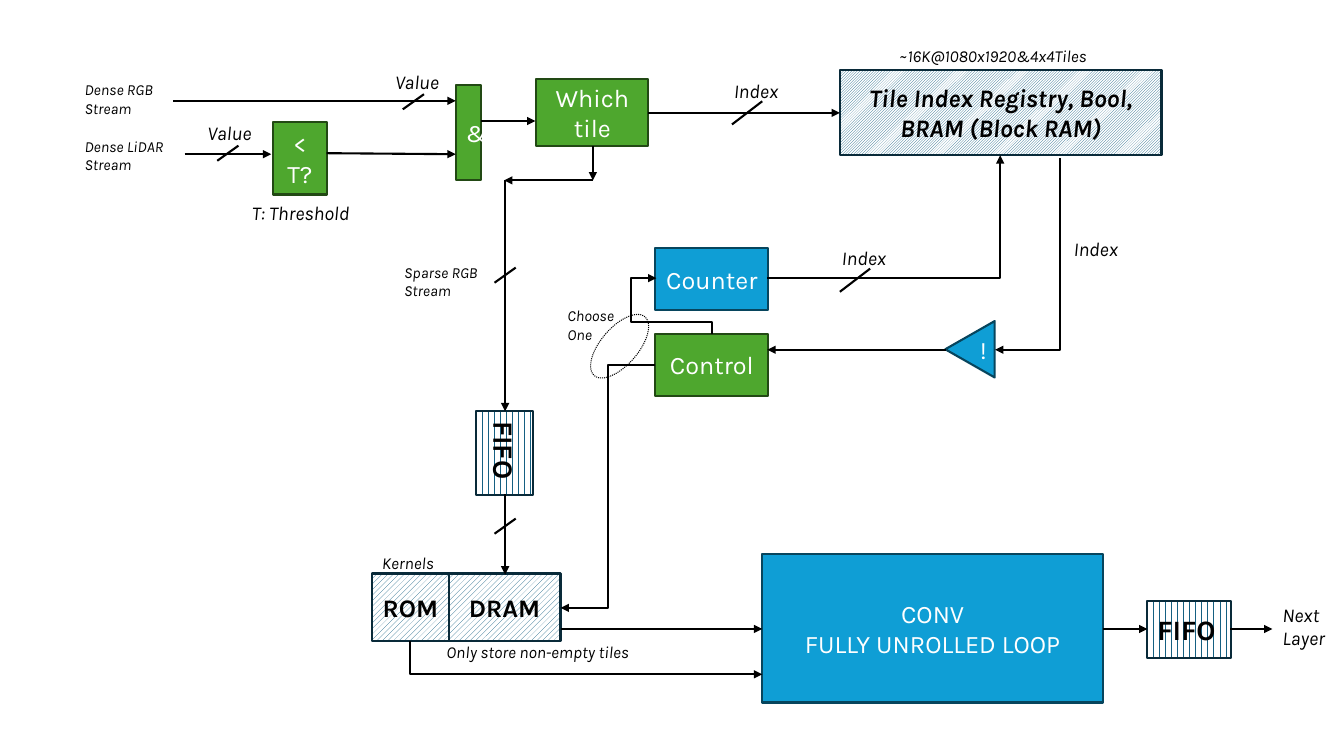
from pptx import Presentation
from pptx.dml.color import RGBColor
from pptx.enum.dml import MSO_LINE, MSO_PATTERN
from pptx.enum.shapes import MSO_CONNECTOR, MSO_SHAPE
from pptx.enum.text import MSO_ANCHOR, MSO_AUTO_SIZE, PP_ALIGN
from pptx.oxml.ns import qn
from pptx.util import Inches, Pt
from lxml import etree

BLACK = RGBColor(0x00, 0x00, 0x00)
WHITE = RGBColor(0xFF, 0xFF, 0xFF)
GREEN = RGBColor(0x4E, 0xA7, 0x2E)
GREEN_EDGE = RGBColor(0x22, 0x49, 0x14)
BLUE = RGBColor(0x0F, 0x9E, 0xD5)
BLUE_EDGE = RGBColor(0x07, 0x45, 0x5D)
HATCH = RGBColor(0x15, 0x60, 0x82)
HATCH_EDGE = RGBColor(0x09, 0x2A, 0x39)

RECTANGLE = MSO_SHAPE.RECTANGLE
TRIANGLE = MSO_SHAPE.ISOSCELES_TRIANGLE
OVAL = MSO_SHAPE.OVAL
STRAIGHT = MSO_CONNECTOR.STRAIGHT
ELBOW = MSO_CONNECTOR.ELBOW
DARK_DIAGONAL = MSO_PATTERN.DARK_UPWARD_DIAGONAL
WIDE_DIAGONAL = MSO_PATTERN.WIDE_UPWARD_DIAGONAL
DASHED_VERTICAL = MSO_PATTERN.DASHED_VERTICAL
ROUND_DOT = MSO_LINE.ROUND_DOT
MIDDLE = MSO_ANCHOR.MIDDLE
CENTER = PP_ALIGN.CENTER
FIT_SHAPE = MSO_AUTO_SIZE.SHAPE_TO_FIT_TEXT

FONT = "Karla"
LINE_WIDTH = Pt(1.5)
SMALL_TICK = (0.21, 0.15)
LARGE_TICK = (0.30, 0.23)
FLOW_Y = 6.24  # height of the line through the convolution stage
STREAM_X = 5.01  # position of the sparse stream


def format_text(text_frame, size, color, bold=False, italic=False, alignment=None):
    for paragraph in text_frame.paragraphs:
        paragraph.alignment = alignment
        for run in paragraph.runs:
            run.font.name = FONT
            run.font.size = Pt(size)
            run.font.color.rgb = color
            run.font.bold = bold
            run.font.italic = italic


def add_block(slide, text, box, edge, kind=RECTANGLE, rotation=0, vertical=False,
              size=18, color=WHITE, bold=False, italic=False):
    shape = slide.shapes.add_shape(kind, *map(Inches, box))
    shape.shadow.inherit = False
    shape.rotation = rotation
    shape.line.color.rgb = edge
    shape.line.width = LINE_WIDTH
    text_frame = shape.text_frame
    text_frame.text = text
    text_frame.word_wrap = True
    text_frame.vertical_anchor = MIDDLE
    if vertical:
        text_frame._txBody.bodyPr.set("vert", "eaVert")
    format_text(text_frame, size, color, bold, italic, CENTER)
    return shape


def add_solid(slide, text, box, fill, edge, **options):
    shape = add_block(slide, text, box, edge, **options)
    shape.fill.solid()
    shape.fill.fore_color.rgb = fill


def add_memory(slide, text, box, pattern, **options):
    shape = add_block(slide, text, box, HATCH_EDGE, color=BLACK, bold=True, **options)
    shape.fill.patterned()
    shape.fill.pattern = pattern
    shape.fill.fore_color.rgb = HATCH
    shape.fill.back_color.rgb = WHITE


def add_label(slide, text, box, size, wrap=True):
    text_box = slide.shapes.add_textbox(*map(Inches, box))
    text_frame = text_box.text_frame
    text_frame.text = text
    text_frame.word_wrap = wrap
    text_frame.auto_size = FIT_SHAPE
    format_text(text_frame, size, BLACK, italic=True)


def add_line(slide, start, end, kind=STRAIGHT, arrow=True):
    connector = slide.shapes.add_connector(kind, *map(Inches, start + end))
    connector.line.color.rgb = BLACK
    connector.line.width = LINE_WIDTH
    if arrow:
        line = connector.line._get_or_add_ln()
        etree.SubElement(line, qn("a:tailEnd"), type="triangle")
    etree.SubElement(connector._element.spPr, qn("a:effectLst"))
    return connector


def add_elbow(slide, preset, box, rotation=0, flip=None, adjustments=()):
    """Box is the frame before rotation; flip is flipH or flipV."""
    left, top, width, height = box
    connector = add_line(slide, (left, top), (left + width, top + height), ELBOW)
    properties = connector._element.spPr
    frame = properties.find(qn("a:xfrm"))
    frame.set("rot", str(rotation * 60000))
    if flip:
        frame.set(flip, "1")
    geometry = properties.find(qn("a:prstGeom"))
    geometry.set("prst", preset)
    guides = geometry.find(qn("a:avLst"))
    for number, value in enumerate(adjustments, 1):
        etree.SubElement(guides, qn("a:gd"), name=f"adj{number}", fmla=f"val {value}")


def add_tick(slide, center, size):
    (x, y), (width, height) = center, size
    add_line(slide, (x - width / 2, y + height / 2), (x + width / 2, y - height / 2),
             arrow=False)


def add_choice_ring(slide):
    ring = slide.shapes.add_shape(OVAL, *map(Inches, (5.96, 3.05, 0.37, 0.77)))
    ring.shadow.inherit = False
    ring.rotation = 40.8
    ring.fill.background()
    ring.line.color.rgb = BLACK
    ring.line.width = Pt(0.75)
    ring.line.dash_style = ROUND_DOT


def main():
    presentation = Presentation()
    presentation.slide_width = Inches(13.33)
    presentation.slide_height = Inches(7.5)
    slide = presentation.slides.add_slide(presentation.slide_layouts[6])

    # Logic blocks
    for text, box in [("&", (4.52, 0.84, 0.25, 0.95)),
                      ("Which tile", (5.32, 0.78, 1.11, 0.67)),
                      ("< T?", (2.71, 1.21, 0.53, 0.72)),
                      ("Control", (6.5, 3.31, 1.12, 0.62))]:
        add_solid(slide, text, box, GREEN, GREEN_EDGE)
    for text, box in [("Counter", (6.5, 2.46, 1.12, 0.62)),
                      ("CONV\nFULLY UNROLLED LOOP", (7.56, 5.5, 3.38, 1.47))]:
        add_solid(slide, text, box, BLUE, BLUE_EDGE)
    add_solid(slide, "!", (9.34, 3.22, 0.56, 0.49), BLUE, BLUE_EDGE,
              kind=TRIANGLE, rotation=270, vertical=True)

    # Memories
    add_memory(slide, "Tile Index Registry, Bool, BRAM (Block RAM)",
               (8.33, 0.69, 3.19, 0.85), DARK_DIAGONAL, italic=True)
    add_memory(slide, "DRAM", (4.45, 5.69, 1.11, 0.67), WIDE_DIAGONAL)
    add_memory(slide, "ROM", (3.69, 5.69, 0.76, 0.67), WIDE_DIAGONAL)
    for left, top, rotation in [(4.72, 4.08, 0), (11.51, 5.83, 270)]:
        add_memory(slide, "FIFO", (left, top, 0.57, 0.83), DASHED_VERTICAL,
                   rotation=rotation, vertical=True, size=20)

    # Straight arrows
    for start, end in [((1.72, 1), (4.52, 1)),
                       ((1.83, 1.53), (2.69, 1.53)),
                       ((3.24, 1.52), (4.52, 1.53)),
                       ((4.77, 1.2), (5.31, 1.2)),
                       ((6.43, 1.12), (8.33, 1.12)),
                       ((5.88, 1.45), (5.88, 1.79)),
                       ((5.88, 1.79), (5, 1.79)),
                       ((STREAM_X, 1.79), (STREAM_X, 4.08)),
                       ((STREAM_X, 4.9), (STREAM_X, 5.7)),
                       ((9.38, 3.47), (7.61, 3.47)),
                       ((5.56, FLOW_Y), (7.56, FLOW_Y)),
                       ((10.94, FLOW_Y), (11.38, FLOW_Y)),
                       ((12.2, FLOW_Y), (12.62, FLOW_Y))]:
        add_line(slide, start, end)

    # Bent arrows: counter, registry, control to DRAM, ROM, control to counter
    add_elbow(slide, "bentConnector2", (7.61, 1.54, 2.31, 1.22), flip="flipV")
    add_elbow(slide, "bentConnector2", (9.24, 2.2, 1.9, 0.64), 90)
    add_elbow(slide, "bentConnector3", (5.56, 3.62, 0.94, 2.41), 180, "flipV")
    add_elbow(slide, "bentConnector2", (5.65, 4.78, 0.33, 3.49), 270, "flipH")
    add_elbow(slide, "bentConnector4", (6.51, 2.76, 0.55, 0.55), 270, "flipV",
              (21700, 145300))

    # Bus ticks
    for center in [(4.1, 1.01), (2.26, 1.52), (STREAM_X, 2.73), (STREAM_X, 5.22)]:
        add_tick(slide, center, SMALL_TICK)
    for center in [(7.41, 1.12), (8.48, 2.78)]:
        add_tick(slide, center, LARGE_TICK)

    add_choice_ring(slide)

    # Labels
    for text, left, top in [("Index", 7.18, 0.73), ("Index", 8.25, 2.39),
                            ("Index", 10.55, 2.3), ("Value", 3.82, 0.64),
                            ("Value", 1.96, 1.15), ("Next Layer", 12.62, 5.93)]:
        add_label(slide, text, (left, top, 0.76, 0.34), 14)
    for text, left, top, width in [("Dense RGB Stream", 0.74, 0.75, 0.95),
                                   ("Dense LiDAR Stream", 0.74, 1.31, 1.07),
                                   ("Sparse RGB Stream", 3.91, 2.56, 1.2),
                                   ("Choose One", 5.53, 2.99, 0.74)]:
        add_label(slide, text, (left, top, width, 0.47), 11)
    add_label(slide, "T: Threshold", (2.4, 1.94, 1.22, 0.34), 14, wrap=False)
    for text, left, top, width in [("~16K@1080x1920&4x4Tiles", 8.82, 0.4, 2.2),
                                   ("Only store non-empty tiles", 4.33, 6.32, 2.12),
                                   ("Kernels", 3.69, 5.43, 0.75)]:
        add_label(slide, text, (left, top, width, 0.3), 12, wrap=False)

    presentation.save("out.pptx")


if __name__ == "__main__":
    main()
